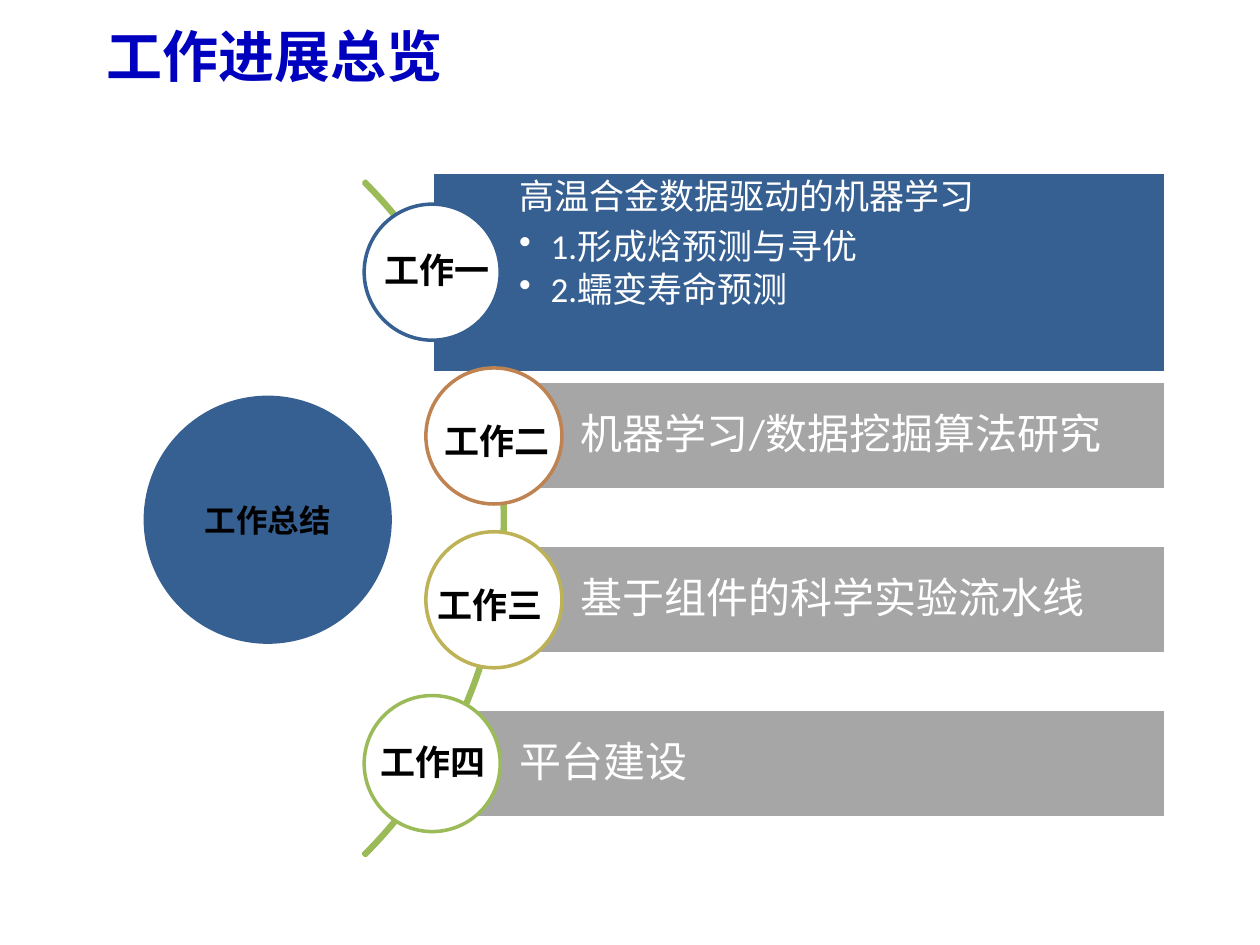
from lxml import etree
from pptx import Presentation
from pptx.dml.color import RGBColor
from pptx.enum.shapes import MSO_SHAPE
from pptx.enum.text import MSO_ANCHOR, PP_ALIGN
from pptx.oxml.ns import qn
from pptx.util import Inches, Pt

RECTANGLE, OVAL, ARC = MSO_SHAPE.RECTANGLE, MSO_SHAPE.OVAL, MSO_SHAPE.BLOCK_ARC
TOP, MIDDLE = MSO_ANCHOR.TOP, MSO_ANCHOR.MIDDLE
LEFT, CENTER = PP_ALIGN.LEFT, PP_ALIGN.CENTER

NAVY = RGBColor(0x37, 0x60, 0x92)
TITLE_BLUE = RGBColor(0x00, 0x00, 0xBF)
GREEN = RGBColor(0x9B, 0xBB, 0x59)
ORANGE = RGBColor(0xBE, 0x83, 0x51)
OLIVE = RGBColor(0xBD, 0xB2, 0x55)
GRAY = RGBColor(0xA6, 0xA6, 0xA6)
WHITE = RGBColor(0xFF, 0xFF, 0xFF)
BLACK = RGBColor(0x00, 0x00, 0x00)
LATIN_FONT, CHINESE_FONT = "Calibri", "Noto Sans CJK SC"

CIRCLE = 1.08
BULLET_INDENT = 0.25
PITCH = 1.3
# label, circle colour, circle left, label box (left in circle, top in circle, width),
# bar height, bar colour, heading, heading size, bullets
TASKS = [
    ("工作一", NAVY, 2.89, (0.06, 0.3, 1.11), 1.59, NAVY, "高温合金数据驱动的机器学习", 20,
     ["1.形成焓预测与寻优", "2.蠕变寿命预测"]),
    ("工作二", ORANGE, 3.38, (0.05, 0.36, 1.06), 0.86, GRAY, "机器学习/数据挖掘算法研究", 24, []),
    ("工作三", OLIVE, 3.38, (-0.01, 0.36, 1.18), 0.86, GRAY, "基于组件的科学实验流水线", 24, []),
    ("工作四", GREEN, 2.89, (0.03, 0.31, 1.18), 0.86, GRAY, "平台建设", 24, []),
]


def add_figure(page, kind, box, fill=None, line=None):
    shape = page.shapes.add_shape(kind, *map(Inches, box))
    shape.shadow.inherit = False
    if fill is None:
        shape.fill.background()
    else:
        shape.fill.solid()
        shape.fill.fore_color.rgb = fill
    if line is None:
        shape.line.fill.background()
    else:
        shape.line.color.rgb = line
        shape.line.width = Pt(2)
    return shape


def set_frame(frame, anchor, insets=(0.1, 0.05, 0.1, 0.05)):
    frame.word_wrap = True
    frame.vertical_anchor = anchor
    for side, inset in zip(("left", "top", "right", "bottom"), insets):
        setattr(frame, f"margin_{side}", Inches(inset))


def write(para, text, color, align=LEFT, latin=LATIN_FONT, **font_values):
    para.alignment = align
    span = para.add_run()
    span.text = text
    span.font.name = latin
    span.font.color.rgb = color
    for name, value in font_values.items():
        setattr(span.font, name, value)
    etree.SubElement(span.font._element, qn("a:ea"), typeface=CHINESE_FONT)


def add_bullet(para):
    props = para._p.get_or_add_pPr()
    props.set("marL", str(Inches(BULLET_INDENT)))
    props.set("indent", str(-Inches(BULLET_INDENT)))
    etree.SubElement(props, qn("a:buChar"), char="•")


def add_text(page, box, text, color, anchor=TOP, **font_values):
    frame = page.shapes.add_textbox(*map(Inches, box)).text_frame
    set_frame(frame, anchor)
    write(frame.paragraphs[0], text, color, bold=True, **font_values)


def add_summary(page, box):
    frame = add_figure(page, OVAL, box, NAVY).text_frame
    set_frame(frame, MIDDLE)
    write(frame.paragraphs[0], "工作总结", BLACK, CENTER, size=Pt(18), bold=True)


def add_arc(page, box):
    arc = add_figure(page, ARC, box, line=GREEN)
    for index, value in enumerate((189, 27, 0.003)):
        arc.adjustments[index] = value


def add_bar(page, box, color, heading, size, bullets):
    frame = add_figure(page, RECTANGLE, box, color, WHITE).text_frame
    inset = 0.06 if bullets else 0.07
    set_frame(frame, TOP if bullets else MIDDLE, (0.69, inset, inset, inset))
    for index, text in enumerate([heading, *bullets]):
        para = frame.add_paragraph() if index else frame.paragraphs[0]
        if index:
            para.level = 1
            add_bullet(para)
        para.line_spacing = 0.9
        para.space_after = Pt(size * (0.15 if index else 0.35))
        write(para, text, WHITE, size=Pt(size))


def add_tasks(page, right, first_middle):
    """Stack the bars, each starting at the centre of its circle, then the labels."""
    labels = []
    for index, task in enumerate(TASKS):
        label, ring, left, (dx, dy, width), height, color, heading, size, bullets = task
        middle = first_middle + index * PITCH
        bar_left, top = left + CIRCLE / 2, middle - CIRCLE / 2
        add_bar(page, (bar_left, middle - height / 2, right - bar_left, height),
                color, heading, size, bullets)
        add_figure(page, OVAL, (left, top, CIRCLE, CIRCLE), WHITE, ring)
        labels.append(((left + dx, top + dy, width, 0.44), label))
    for box, label in labels:
        add_text(page, box, label, BLACK, size=Pt(20))


def main():
    deck = Presentation()
    deck.slide_width, deck.slide_height = Inches(10), Inches(7.5)
    page = deck.slides.add_slide(deck.slide_layouts[6])
    add_text(page, (0.75, 0, 9, 0.87), "工作进展总览", TITLE_BLUE, MIDDLE,
             latin=CHINESE_FONT, size=Pt(32))
    add_summary(page, (1.14, 3.14, 1.97, 1.97))
    add_arc(page, (-3.56, 0.33, 7.57, 7.57))
    add_tasks(page, right=9.25, first_middle=2.16)
    deck.save("out.pptx")


if __name__ == "__main__":
    main()
